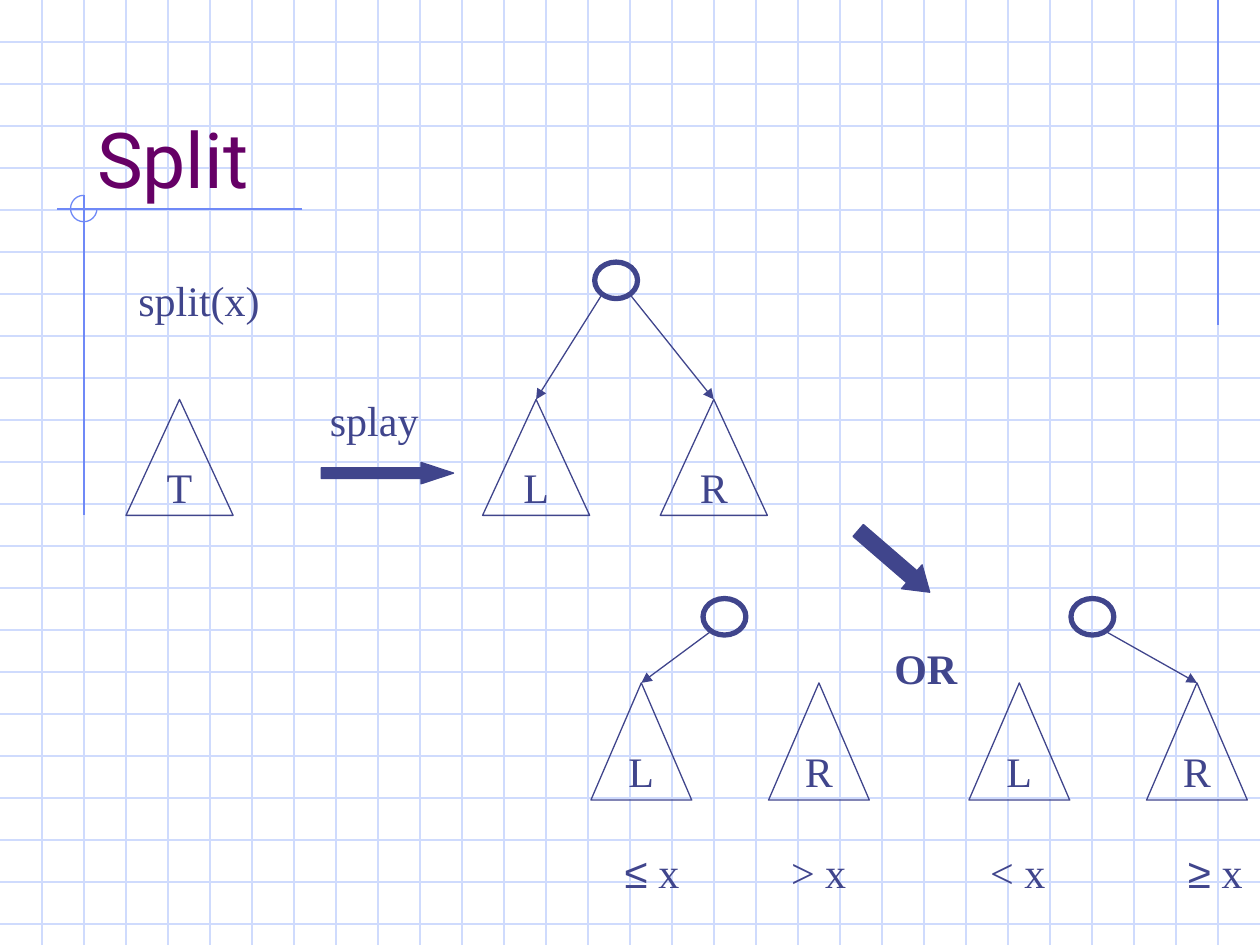
from dataclasses import dataclass

from lxml.etree import SubElement
from pptx import Presentation
from pptx.dml.color import RGBColor
from pptx.enum.shapes import MSO_CONNECTOR, MSO_SHAPE
from pptx.enum.text import MSO_ANCHOR, MSO_AUTO_SIZE, PP_ALIGN
from pptx.oxml.ns import qn
from pptx.util import Inches, Pt


@dataclass(frozen=True)
class Theme:
    ink: RGBColor = RGBColor.from_string("40458C")
    heading: RGBColor = RGBColor.from_string("660066")
    grid: RGBColor = RGBColor.from_string("CFDBFD")
    accent: RGBColor = RGBColor.from_string("6F89F7")
    heading_font: str = "Roboto"
    body_font: str = "Times New Roman"
    symbol_font: str = "Arial"
    heading_size: Pt = Pt(44)
    body_size: Pt = Pt(24)
    thin: Pt = Pt(0.75)
    thick: Pt = Pt(3)


THEME = Theme()
ROOT_WIDTH, ROOT_HEIGHT = 0.34, 0.29


def assign(target, values):
    for name, value in values.items():
        setattr(target, name, value)


def write(paragraph, words, **changes):
    run = paragraph.add_run()
    run.text = words
    color = changes.pop("color", THEME.ink)
    assign(run.font, {"name": THEME.body_font, "size": THEME.body_size, **changes})
    run.font.color.rgb = color


def add_line(slide, start, end, color, arrow=False):
    line = slide.shapes.add_connector(
        MSO_CONNECTOR.STRAIGHT, *(Inches(value) for value in (*start, *end))
    )
    line.line.color.rgb = color
    line.line.width = THEME.thin
    properties = line.element.spPr
    if arrow:
        SubElement(properties.find(qn("a:ln")), qn("a:tailEnd"), type="triangle")
    SubElement(properties, qn("a:effectLst"))


def add_outline(slide, preset, box, color=THEME.ink, width=THEME.thin, filled=False):
    outline = slide.shapes.add_shape(preset, *(Inches(value) for value in box))
    outline.shadow.inherit = False
    outline.line.color.rgb = color
    outline.line.width = width
    if filled:
        outline.fill.solid()
        outline.fill.fore_color.rgb = color
    else:
        outline.fill.background()
    return outline


def add_label(slide, box, pieces, level=0, align=PP_ALIGN.LEFT, **changes):
    frame = slide.shapes.add_textbox(*(Inches(value) for value in box)).text_frame
    assign(frame, {"word_wrap": False, "auto_size": MSO_AUTO_SIZE.SHAPE_TO_FIT_TEXT})
    paragraph = frame.paragraphs[0]
    assign(paragraph, {"level": level, "alignment": align})
    for words, font in pieces:
        write(paragraph, words, name=font, **changes)


def add_subtree(slide, box, letter):
    subtree = add_outline(slide, MSO_SHAPE.ISOSCELES_TRIANGLE, box)
    frame = subtree.text_frame
    assign(frame, {"word_wrap": False, "vertical_anchor": MSO_ANCHOR.MIDDLE})
    frame.paragraphs[0].alignment = PP_ALIGN.CENTER
    write(frame.paragraphs[0], letter)


def add_block_arrow(slide, box, head, rotation=0):
    arrow = add_outline(slide, MSO_SHAPE.RIGHT_ARROW, box, filled=True)
    arrow.adjustments[1] = head
    arrow.rotation = rotation


def add_tree(slide, box, root, linked):
    left, top, width, height = box
    root_left, root_top = left + root[0], top + root[1]
    add_outline(
        slide,
        MSO_SHAPE.OVAL,
        (root_left, root_top, ROOT_WIDTH, ROOT_HEIGHT),
        width=THEME.thick,
    )
    exits = {"L": root_left + 0.05, "R": root_left + ROOT_WIDTH - 0.05}
    for letter, offset in (("L", 0), ("R", 1.41)):
        subtree_left = left + offset
        add_subtree(slide, (subtree_left, top, width, height), letter)
        if letter in linked:
            add_line(
                slide,
                (exits[letter], root_top + 0.27),
                (subtree_left + width / 2, top),
                THEME.ink,
                arrow=True,
            )


def draw_backdrop(slide, width, height):
    step = 1 / 3
    for row in range(1, int(height / step) + 1):
        add_line(slide, (0, row * step), (width, row * step), THEME.grid)
    for column in range(1, round(width / step)):
        add_line(slide, (column * step, 0), (column * step, height), THEME.grid)
    for start, end in (
        ((width - step, 0), (width - step, 2.58)),
        ((2.4, 1.66), (0.45, 1.66)),
        ((2 * step, 1.55), (2 * step, 4.09)),
    ):
        add_line(slide, start, end, THEME.accent)
    corner = add_outline(slide, MSO_SHAPE.ARC, (0.56, 1.55, 0.21, 0.21), THEME.accent)
    corner.adjustments[0], corner.adjustments[1] = 0, 162


def draw_title(slide, left, top, width, height):
    title = slide.shapes.title
    title.element.getparent().append(title.element)
    assign(title, {
        "left": Inches(left),
        "top": Inches(top),
        "width": Inches(width),
        "height": Inches(height),
    })
    assign(title.text_frame, {
        "vertical_anchor": MSO_ANCHOR.BOTTOM,
        "auto_size": MSO_AUTO_SIZE.NONE,
    })
    heading = title.text_frame.paragraphs[0]
    heading.alignment = PP_ALIGN.LEFT
    write(
        heading,
        "Split",
        name=THEME.heading_font,
        size=THEME.heading_size,
        color=THEME.heading,
    )


def draw_splay(slide, left, top):
    width, height = 0.85, 0.92
    body = THEME.body_font
    add_label(slide, (left, top - 1.04, 1.16, 0.5), [("split(x)", body)])
    add_subtree(slide, (left, top, width, height), "T")
    add_label(
        slide,
        (left + 1.47, top - 0.09, 1, 0.5),
        [("splay", body)],
        align=PP_ALIGN.CENTER,
    )
    add_block_arrow(slide, (left + 1.55, top + 0.5, 1.05, 0.17), 1.52)
    add_tree(slide, (left + 2.83, top, width, height), (0.89, -1.09), "LR")


def draw_outcome(slide, left, top, root_offset, kept, labels):
    add_tree(slide, (left, top, 0.8, 0.93), (root_offset, -0.67), kept)
    for offset, symbol, inclusive in labels:
        width = 1.21 if inclusive else 0.64
        font = THEME.symbol_font if inclusive else THEME.body_font
        add_label(
            slide,
            (left + offset, top + 1.25, width, 0.5),
            [(symbol, font), (" x", THEME.body_font)],
            level=int(inclusive),
        )


def draw_outcomes(slide, left, top):
    add_block_arrow(slide, (left + 2.03, top - 1.09, 0.75, 0.25), 0.75, 40.8)
    add_label(
        slide,
        (left + 2.31, top - 0.37, 0.7, 0.5),
        [("OR", THEME.body_font)],
        bold=True,
    )
    draw_outcome(slide, left, top, 0.89, "L", [(-0.33, "≤", True), (1.49, ">", False)])
    draw_outcome(
        slide, left + 3, top, 0.81, "R", [(0.07, "<", False), (1.14, "≥", True)]
    )


def main():
    deck = Presentation()
    width, height = 10, 7.5
    assign(deck, {"slide_width": Inches(width), "slide_height": Inches(height)})
    slide = deck.slides.add_slide(deck.slide_layouts[5])
    draw_backdrop(slide, width, height)
    draw_title(slide, 0.67, 0.42, 8.5, 1.25)
    draw_splay(slide, 1, 3.17)
    draw_outcomes(slide, 4.69, 5.42)
    deck.save("out.pptx")


if __name__ == "__main__":
    main()
